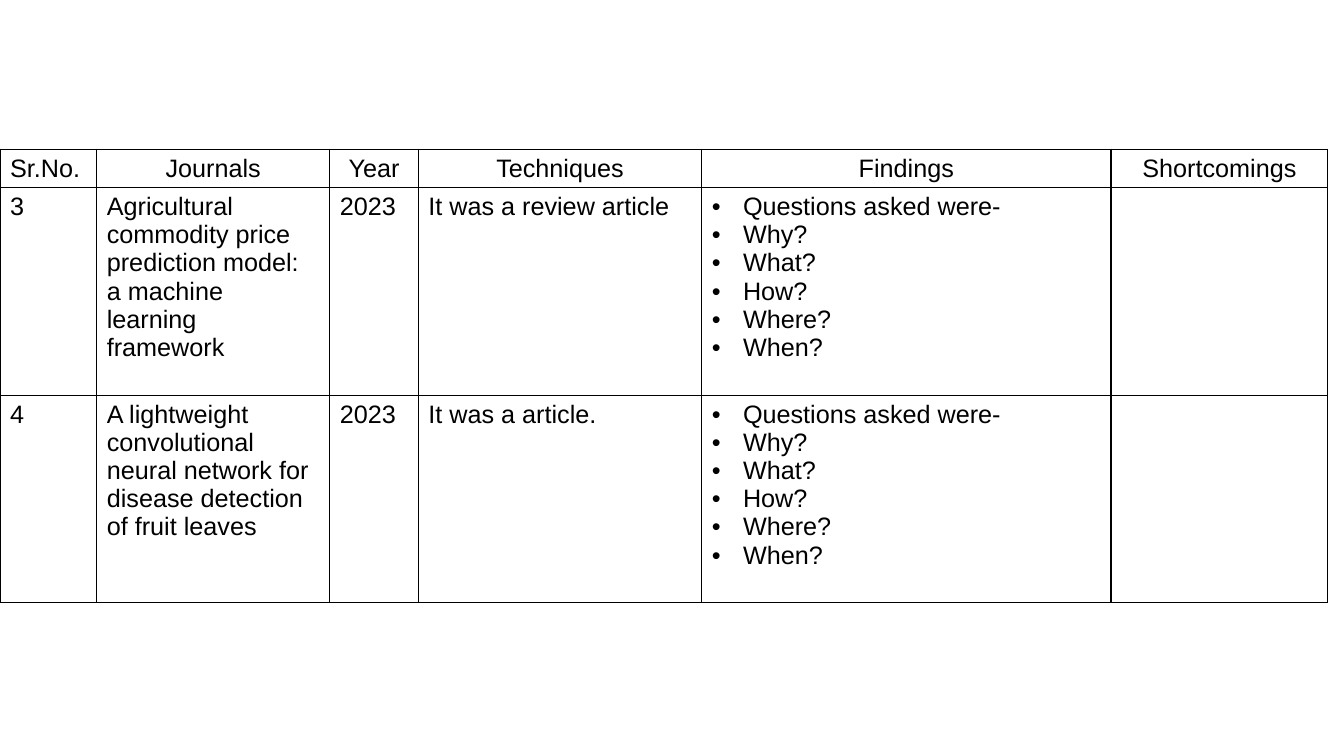
from dataclasses import dataclass

import lxml.etree
import pptx
import pptx.dml.color
import pptx.enum.text
import pptx.oxml.ns
import pptx.util

Inches = pptx.util.Inches


@dataclass(frozen=True)
class Theme:
    font: str = "Arial"
    size: float = 18
    ink: str = "000000"
    border: float = 1
    indent: float = 0.31


THEME = Theme()
COLUMN_WIDTHS = [0.96, 2.31, 0.88, 2.81, 4.06, 2.15]
ROW_HEIGHTS = [0.38, 2.06, 2.06]
HEADERS = ["Sr.No.", "Journals", "Year", "Techniques", "Findings", "Shortcomings"]
FINDINGS = ["Questions asked were-", "Why?", "What?", "How?", "Where?", "When?"]
PAPERS = [
    ["3", "Agricultural commodity price prediction model: a machine learning framework",
     "2023", "It was a review article", FINDINGS, ""],
    ["4", "A lightweight convolutional neural network for disease detection of fruit leaves",
     "2023", "It was a article.", FINDINGS, ""],
]


def add_child(parent, tag, **attrs):
    return lxml.etree.SubElement(parent, pptx.oxml.ns.qn(tag), attrs)


def set_borders(cell):
    tcPr = cell._tc.get_or_add_tcPr()
    for side in ("L", "R", "T", "B"):
        ln = add_child(tcPr, f"a:ln{side}", w=str(pptx.util.Pt(THEME.border)))
        fill = add_child(ln, "a:solidFill")
        add_child(fill, "a:srgbClr", val=THEME.ink)


def set_bullet(p):
    pPr = p._p.get_or_add_pPr()
    pPr.set("marL", str(Inches(THEME.indent)))
    pPr.set("indent", str(-Inches(THEME.indent)))
    add_child(pPr, "a:buFont", typeface=THEME.font)
    add_child(pPr, "a:buChar", char="\u2022")


def format_runs(p):
    for r in p.runs:
        r.font.name = THEME.font
        r.font.size = pptx.util.Pt(THEME.size)
        r.font.bold = False
        r.font.color.rgb = pptx.dml.color.RGBColor.from_string(THEME.ink)


def fill_cell(cell, content, centred):
    set_borders(cell)
    cell.fill.background()
    bulleted = isinstance(content, list)
    tf = cell.text_frame
    tf.text = "\n".join(content) if bulleted else content
    for p in tf.paragraphs:
        if bulleted:
            set_bullet(p)
        if centred:
            p.alignment = pptx.enum.text.PP_ALIGN.CENTER
        format_runs(p)


def add_review_table(s, left, top):
    rows = [HEADERS] + PAPERS
    frame = s.shapes.add_table(
        len(rows), len(HEADERS), Inches(left), Inches(top),
        Inches(sum(COLUMN_WIDTHS)), Inches(sum(ROW_HEIGHTS)))
    table = frame.table
    table.first_row = False
    table.horz_banding = False
    for column, width in zip(table.columns, COLUMN_WIDTHS):
        column.width = Inches(width)
    for row, height in zip(table.rows, ROW_HEIGHTS):
        row.height = Inches(height)
    for i, contents in enumerate(rows):
        for j, content in enumerate(contents):
            fill_cell(table.cell(i, j), content, centred=i == 0 and j > 0)


def main():
    prs = pptx.Presentation()
    prs.slide_width = Inches(13.33)
    prs.slide_height = Inches(7.5)
    s = prs.slides.add_slide(prs.slide_layouts[6])
    add_review_table(s, 0, 1.48)
    prs.save("out.pptx")


main()
